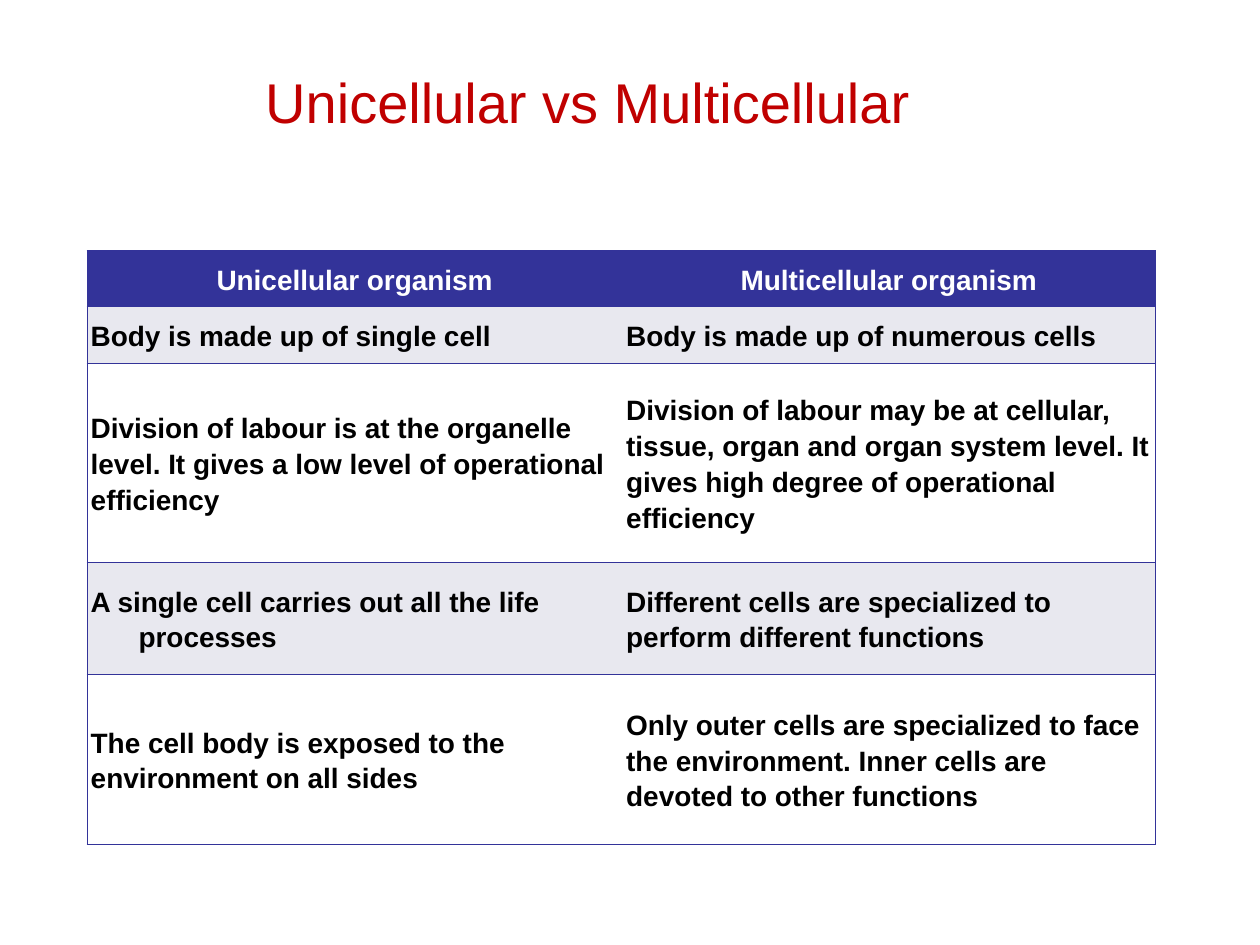
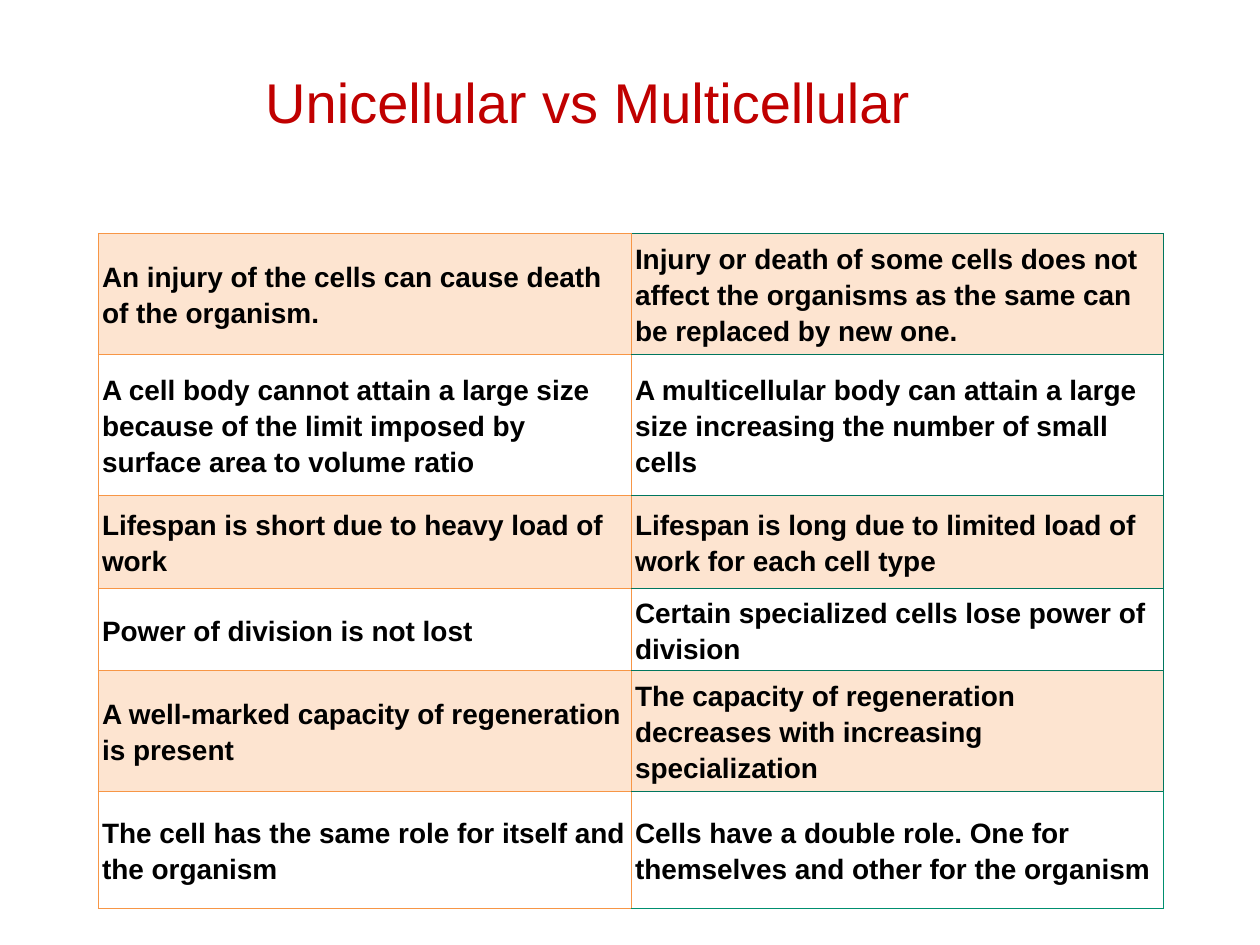
from pptx import Presentation
from pptx import util as u
from pptx.dml.color import RGBColor
from pptx.enum import text as t
from pptx.oxml import parse_xml
from pptx.oxml.ns import nsdecls

WIDE, HIGH = 10, 7.5
FONT = "Arial"
RED, BLACK, WHITE = "C00000", "000000", "FFFFFF"
BLUE, GREY = "333399", "E8E8EF"
ORANGE, PEACH, GREEN, TEAL = "F79646", "FDE4D0", "00765E", "008F6F"
HANG = 0.38
PAD_X, PAD_Y = 0.03, 0.02

TITLE = "Unicellular vs Multicellular"

# Edges hold, per column, the line colours by side; a side left out has no line.
# "hang" lists the rows whose first cell has a hanging indent.
TABLES = [
    dict(
        at=(0.69, 1.99), cols=(4.25, 4.23), rows=(0.44, 0.45, 1.58, 0.89, 1.35),
        head=True, bands=(WHITE, GREY), hang=(1, 3),
        edges=(dict(L=BLUE, T=BLUE, B=BLUE), dict(R=BLUE, T=BLUE, B=BLUE)),
        end={},
        cells=[
            ("Unicellular organism", "Multicellular organism"),
            ("Body is made up of single cell",
             "Body is made up of numerous cells"),
            ("Division of labour is at the organelle level. It gives a low "
             "level of operational efficiency",
             "Division of labour may be at cellular, tissue, organ and organ "
             "system level. It gives high degree of operational efficiency"),
            ("A single cell carries out all the life processes",
             "Different cells are specialized to perform different functions"),
            ("The cell body is exposed to the environment on all sides",
             "Only outer cells are specialized to face the environment. Inner "
             "cells are devoted to other functions"),
        ]),
    dict(
        at=(0.78, 1.85), cols=(4.23, 4.22),
        rows=(0.93, 1.12, 0.74, 0.61, 0.93, 0.93),
        head=False, bands=(PEACH, WHITE), hang=(3,),
        edges=(dict.fromkeys("LRTB", ORANGE),
               dict(L=ORANGE, R=GREEN, T=GREEN, B=GREEN)),
        end=dict(R=TEAL, B=TEAL),
        cells=[
            ("An injury of the cells can cause death of the organism.",
             "Injury or death of some cells does not affect the organisms as "
             "the same can be replaced by new one."),
            ("A cell body cannot attain a large size because of the limit "
             "imposed by surface area to volume ratio",
             "A multicellular body can attain a large size increasing the "
             "number of small cells"),
            ("Lifespan is short due to heavy load of work",
             "Lifespan is long due to limited load of work for each cell type"),
            ("Power of division is not lost",
             "Certain specialized cells lose power of division"),
            ("A well-marked capacity of regeneration is present",
             "The capacity of regeneration decreases with increasing "
             "specialization"),
            ("The cell has the same role for itself and the organism",
             "Cells have a double role. One for themselves and other for the "
             "organism"),
        ]),
]


def rgb(code):
    return RGBColor.from_string(code)


def write(frame, words, size, color, bold=False, center=False):
    """Fill the first paragraph of a frame and return it."""
    frame.word_wrap = True
    para = frame.paragraphs[0]
    para.alignment = t.PP_ALIGN.CENTER if center else t.PP_ALIGN.LEFT
    run = para.add_run()
    run.text = words
    font = run.font
    font.name, font.size, font.bold = FONT, u.Pt(size), bold
    font.color.rgb = rgb(color)
    return para


def add_title(slide):
    box = slide.shapes.add_textbox(*map(u.Inches, (1.83, 0.43, 5.67, 0.75)))
    box.text_frame.vertical_anchor = t.MSO_ANCHOR.MIDDLE
    write(box.text_frame, TITLE, 32, RED, center=True)


def rule(cell, edges):
    """Draw the cell's border lines; call before the fill is set."""
    props = cell._tc.get_or_add_tcPr()
    for side in "LRTB":
        color = edges.get(side)
        paint = (f'<a:solidFill><a:srgbClr val="{color}"/></a:solidFill>'
                 if color else "<a:noFill/>")
        props.append(parse_xml(
            f'<a:ln{side} {nsdecls("a")} w="{u.Pt(0.45)}">{paint}</a:ln{side}>'))


def add_grid(slide, spec):
    cols, rows = spec["cols"], spec["rows"]
    size = (*spec["at"], sum(cols), sum(rows))
    grid = slide.shapes.add_table(
        len(rows), len(cols), *map(u.Inches, size)).table
    grid.first_row = grid.horz_banding = False
    for col, width in zip(grid.columns, cols):
        col.width = u.Inches(width)
    for row, height in zip(grid.rows, rows):
        row.height = u.Inches(height)

    for r, line in enumerate(spec["cells"]):
        head = spec["head"] and r == 0
        for c, words in enumerate(line):
            cell = grid.cell(r, c)
            last = r == len(rows) - 1 and c == len(cols) - 1
            rule(cell, spec["edges"][c] | (spec["end"] if last else {}))
            cell.fill.solid()
            cell.fill.fore_color.rgb = rgb(BLUE if head else spec["bands"][r % 2])
            cell.vertical_anchor = t.MSO_ANCHOR.MIDDLE
            cell.margin_left = cell.margin_right = u.Inches(PAD_X)
            cell.margin_top = cell.margin_bottom = u.Inches(PAD_Y)
            para = write(cell.text_frame, words, 16, WHITE if head else BLACK,
                         bold=True, center=head)
            para.line_spacing = 1.15
            if c == 0 and r in spec["hang"]:
                props = para._p.get_or_add_pPr()
                props.set("marL", str(u.Inches(HANG)))
                props.set("indent", str(-u.Inches(HANG)))


def main():
    deck = Presentation()
    deck.slide_width, deck.slide_height = u.Inches(WIDE), u.Inches(HIGH)
    for table in TABLES:
        slide = deck.slides.add_slide(deck.slide_layouts[6])
        add_title(slide)
        add_grid(slide, table)
    deck.save("out.pptx")


if __name__ == "__main__":
    main()
